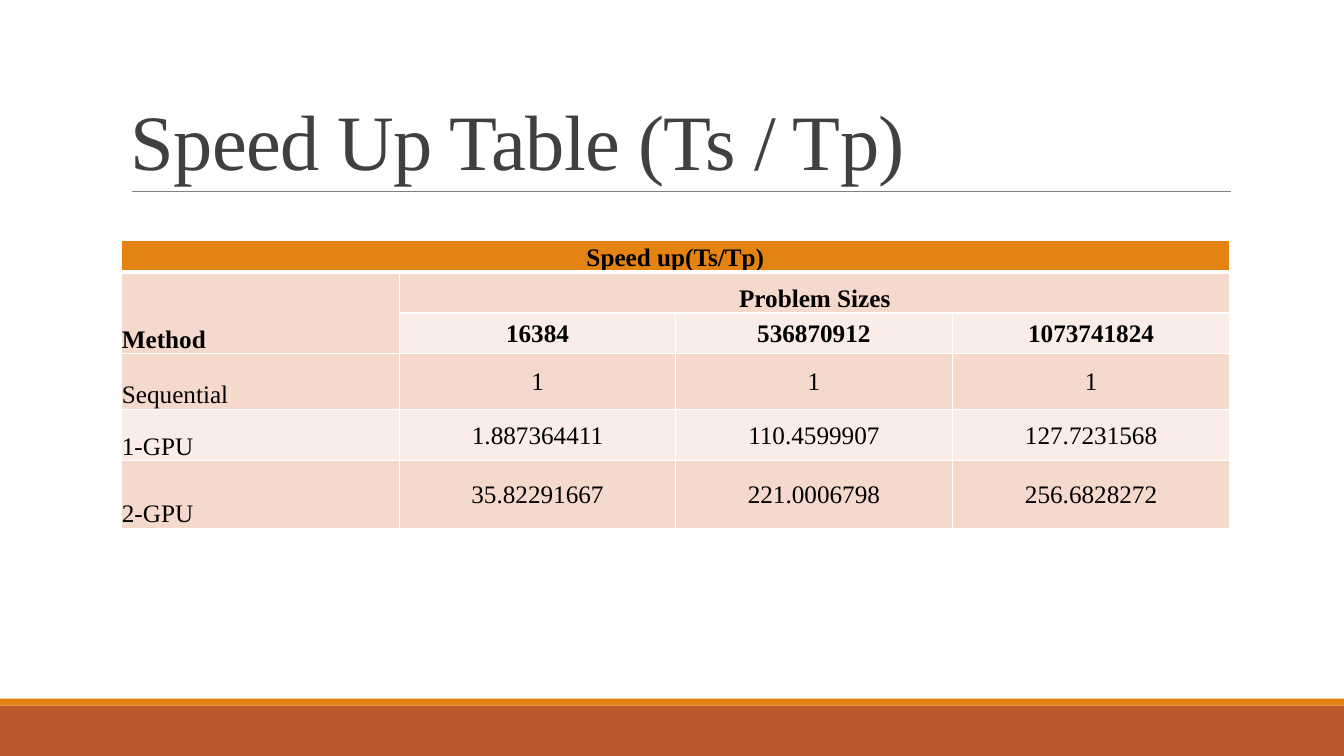
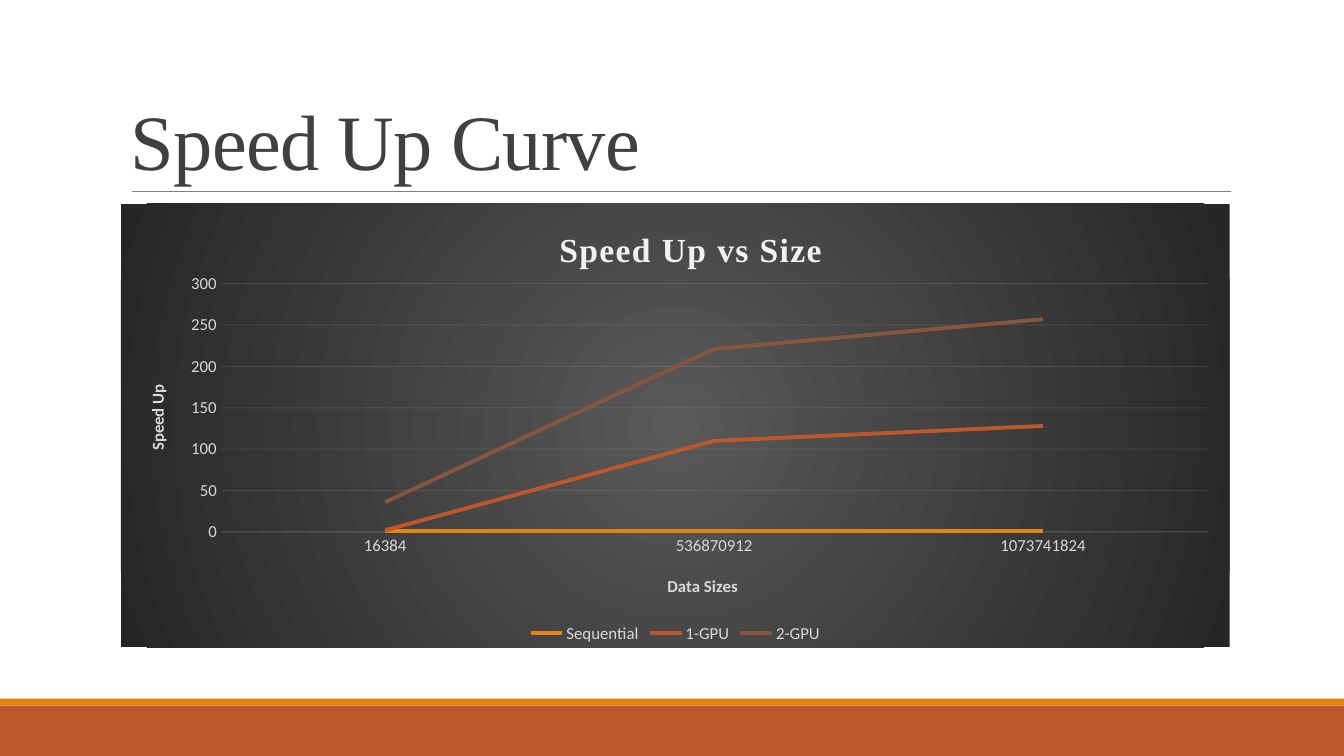
"""Build two slides on GPU speed-up: a merged table and a line chart."""
from typing import NamedTuple

from lxml.etree import SubElement
from pptx import Presentation
from pptx.chart.data import CategoryChartData
from pptx.dml.color import RGBColor
from pptx.enum.chart import XL_CHART_TYPE, XL_LEGEND_POSITION, XL_TICK_MARK
from pptx.enum.shapes import MSO_CONNECTOR, MSO_SHAPE
from pptx.enum.text import MSO_ANCHOR, PP_ALIGN
from pptx.oxml import parse_xml
from pptx.oxml.ns import nsdecls, qn
from pptx.util import Pt

SERIF, SANS = "Times New Roman", "Calibri"
ORANGE, RUST, BROWN = "E48312", "BD582C", "865640"
INK, RULE, PALE, LIGHT = "404040", "808080", "F2F2F2", "D9D9D9"
BAND_DARK, BAND_LIGHT, WHITE, BLACK = "F5D9CC", "FAEDE7", "FFFFFF", "000000"
WIDTH, HEIGHT = 960, 540
LEFT, CONTENT_WIDTH = 86.4, 792
SIZES = ("16384", "536870912", "1073741824")


class Band(NamedTuple):
    top: float
    height: float
    color: str


class Row(NamedTuple):
    height: float
    fill: str
    bold: bool
    texts: tuple[str, ...]


class Series(NamedTuple):
    name: str
    values: tuple[int, ...]
    color: str


class Span(NamedTuple):
    first: tuple[int, int]
    last: tuple[int, int]


BANDS = (Band(504, 36, RUST), Band(499, 5, ORANGE))
COLUMNS = (199.2, 196.8, 198, 198)
ROWS = (
    Row(20, ORANGE, True, ("Speed up(Ts/Tp)", "", "", "")),
    Row(29.2, BAND_DARK, True, ("Method", "Problem Sizes", "", "")),
    Row(29.2, BAND_LIGHT, True, ("", *SIZES)),
    Row(39.6, BAND_DARK, False, ("Sequential", "1", "1", "1")),
    Row(36.8, BAND_LIGHT, False, ("1-GPU", "1.887364411", "110.4599907", "127.7231568")),
    Row(48.2, BAND_DARK, False, ("2-GPU", "35.82291667", "221.0006798", "256.6828272")),
)
SPANS = (Span((0, 0), (0, 3)), Span((1, 0), (2, 0)), Span((1, 1), (1, 3)))
SERIES = (
    Series("Sequential", (1, 1, 1), ORANGE),
    Series("1-GPU", (2, 110, 128), RUST),
    Series("2-GPU", (36, 221, 257), BROWN),
)


def rgb(value: str) -> RGBColor:
    """Turn a hex string into a colour."""
    return RGBColor.from_string(value)


def style(font, name: str, size: float, color: str, bold: bool = False) -> None:
    """Set the face, size, colour and weight of a font."""
    font.name, font.size, font.bold = name, Pt(size), bold
    font.color.rgb = rgb(color)


def set_spacing(element, hundredths: int) -> None:
    """Set the letter spacing of every run in an element."""
    for properties in element.iter(qn("a:rPr")):
        properties.set("spc", str(hundredths))


def add_page(deck, title: str):
    """Add a slide with the shared bands, rule and title."""
    page = deck.slides.add_slide(deck.slide_layouts[6])
    for band in BANDS:
        bar = page.shapes.add_shape(MSO_SHAPE.RECTANGLE, 0, Pt(band.top), Pt(WIDTH), Pt(band.height))
        bar.shadow.inherit = False
        bar.fill.solid()
        bar.fill.fore_color.rgb = rgb(band.color)
        bar.line.fill.background()
    rule = page.shapes.add_connector(MSO_CONNECTOR.STRAIGHT, Pt(94.3), Pt(136.8), Pt(879), Pt(136.8))
    rule.line.color.rgb = rgb(RULE)
    rule.line.width = Pt(0.5)
    SubElement(rule.element.spPr, qn("a:effectLst"))
    box = page.shapes.add_textbox(Pt(LEFT), Pt(22.6), Pt(CONTENT_WIDTH), Pt(114.2))
    frame = box.text_frame
    frame.word_wrap = True
    frame.vertical_anchor = MSO_ANCHOR.BOTTOM
    frame.text = title
    paragraph = frame.paragraphs[0]
    paragraph.line_spacing = 0.85
    style(paragraph.runs[0].font, SERIF, 56, INK)
    set_spacing(box.element, -50)
    return page


def fill_cell(cell, row: Row, row_index: int, column: int) -> None:
    """Write and format one table cell."""
    cell.margin_left = cell.margin_right = cell.margin_top = Pt(0.7)
    cell.margin_bottom = 0
    cell.fill.solid()
    cell.fill.fore_color.rgb = rgb(row.fill)
    at_bottom = column == 0 or row_index < 2
    cell.vertical_anchor = MSO_ANCHOR.BOTTOM if at_bottom else MSO_ANCHOR.MIDDLE
    cell.text_frame.text = row.texts[column]
    paragraph = cell.text_frame.paragraphs[0]
    paragraph.alignment = PP_ALIGN.LEFT if column == 0 and row_index else PP_ALIGN.CENTER
    style(paragraph.font, SERIF, 18, BLACK, row.bold)
    for span in paragraph.runs:
        style(span.font, SERIF, 18, BLACK, row.bold)


def add_borders(frame) -> None:
    """Draw white cell borders, thick beneath the header row."""
    for index, properties in enumerate(frame.element.iter(qn("a:tcPr"))):
        row_index = index // len(COLUMNS)
        widths = {"L": 1, "R": 1, "T": 3 if row_index == 1 else 1, "B": 3 if row_index == 0 else 1}
        for position, (side, width) in enumerate(widths.items()):
            properties.insert(position, parse_xml(
                f'<a:ln{side} {nsdecls("a")} w="{Pt(width)}"><a:solidFill>'
                f'<a:srgbClr val="{WHITE}"/></a:solidFill></a:ln{side}>'))


def add_speed_table(page) -> None:
    """Add the table of speed-ups by method and problem size."""
    total = sum(row.height for row in ROWS)
    frame = page.shapes.add_table(len(ROWS), len(COLUMNS), Pt(LEFT), Pt(172), Pt(CONTENT_WIDTH), Pt(total))
    table = frame.table
    table.first_row = table.horz_banding = False
    for column, width in zip(table.columns, COLUMNS):
        column.width = Pt(width)
    for row_index, row in enumerate(ROWS):
        table.rows[row_index].height = Pt(row.height)
        for column in range(len(COLUMNS)):
            fill_cell(table.cell(row_index, column), row, row_index, column)
    for span in SPANS:
        table.cell(*span.first).merge(table.cell(*span.last))
    add_borders(frame)


def place(parent, **fractions: float) -> None:
    """Give a chart part a manual layout in fractions of the chart."""
    for old in parent.findall(qn("c:layout")):
        parent.remove(old)
    is_title = parent.find(qn("c:tx")) is not None
    target = "" if is_title else '<c:layoutTarget val="inner"/>'
    modes = "".join(f'<c:{key}Mode val="edge"/>' for key in ("x", "y"))
    values = "".join(f'<c:{key} val="{value}"/>' for key, value in fractions.items())
    parent.insert(int(is_title), parse_xml(
        f'<c:layout {nsdecls("c")}><c:manualLayout>{target}{modes}{values}</c:manualLayout></c:layout>'))


def set_title(title, text: str, face: str, size: float, color: str, x: float, y: float) -> None:
    """Write, format and place a chart or axis title."""
    title.text_frame.text = text
    style(title.text_frame.paragraphs[0].runs[0].font, face, size, color, True)
    place(title.element, x=x, y=y)


def add_backdrop(chart) -> None:
    """Fill the chart area with a round dark gradient."""
    chart.element.find(qn("c:chart")).addnext(parse_xml(
        f'<c:spPr {nsdecls("c", "a")}><a:gradFill><a:gsLst>'
        '<a:gs pos="0"><a:srgbClr val="595959"/></a:gs>'
        '<a:gs pos="100000"><a:srgbClr val="262626"/></a:gs></a:gsLst>'
        '<a:path path="circle"><a:fillToRect l="50000" t="50000" r="50000" b="50000"/></a:path>'
        '</a:gradFill><a:ln><a:noFill/></a:ln></c:spPr>'))


def format_axes(chart) -> None:
    """Format both axes, their titles and the faint grid."""
    category, value = chart.category_axis, chart.value_axis
    for axis in (category, value):
        axis.major_tick_mark = axis.minor_tick_mark = XL_TICK_MARK.NONE
        style(axis.tick_labels.font, SANS, 12, LIGHT)
    value.minimum_scale, value.maximum_scale, value.major_unit = 0, 300, 50
    value.has_major_gridlines = True
    value.format.line.fill.background()
    for line in (category.format.line, value.major_gridlines.format.line):
        line.color.rgb = rgb(PALE)
        line.width = Pt(0.75)
    faint = "//c:majorGridlines//a:srgbClr | //c:catAx/c:spPr//a:srgbClr"
    for color in chart.element.xpath(faint):
        SubElement(color, qn("a:alpha"), val="10000")
    set_title(category.axis_title, "Data Sizes", SANS, 12, LIGHT, 0.49, 0.83)
    set_title(value.axis_title, "Speed Up", SANS, 12, LIGHT, 0.02, 0.4)
    for body in value.axis_title.element.iter(qn("a:bodyPr")):
        body.set("rot", "-5400000")
        body.set("vert", "horz")


def add_speed_chart(page) -> None:
    """Add the line chart of speed-up against size."""
    data = CategoryChartData()
    data.categories = SIZES
    for series in SERIES:
        data.add_series(series.name, series.values)
    frame = page.shapes.add_chart(
        XL_CHART_TYPE.LINE, Pt(LEFT), Pt(145.6), Pt(CONTENT_WIDTH), Pt(316.8), data)
    chart = frame.chart
    style(chart.font, SANS, 10, BLACK)
    add_backdrop(chart)
    chart.plots[0].vary_by_categories = False
    for line, series in zip(chart.plots[0].series, SERIES):
        line.smooth = False
        line.format.line.color.rgb = rgb(series.color)
        line.format.line.width = Pt(2.75)
    chart.has_title = True
    set_title(chart.chart_title, "Speed Up vs Size", SERIF, 24, PALE, 0.39, 0.04)
    set_spacing(chart.chart_title.element, 100)
    format_axes(chart)
    chart.has_legend = True
    chart.legend.position = XL_LEGEND_POSITION.BOTTOM
    chart.legend.include_in_layout = False
    style(chart.legend.font, SANS, 12, LIGHT)
    place(chart.element.xpath("//c:plotArea")[0], x=0.09, y=0.18, w=0.89, h=0.56)


def main() -> None:
    """Build and save the deck."""
    deck = Presentation()
    deck.slide_width, deck.slide_height = Pt(WIDTH), Pt(HEIGHT)
    add_speed_table(add_page(deck, "Speed Up Table (Ts / Tp)"))
    add_speed_chart(add_page(deck, "Speed Up Curve"))
    deck.save("out.pptx")


if __name__ == "__main__":
    main()
